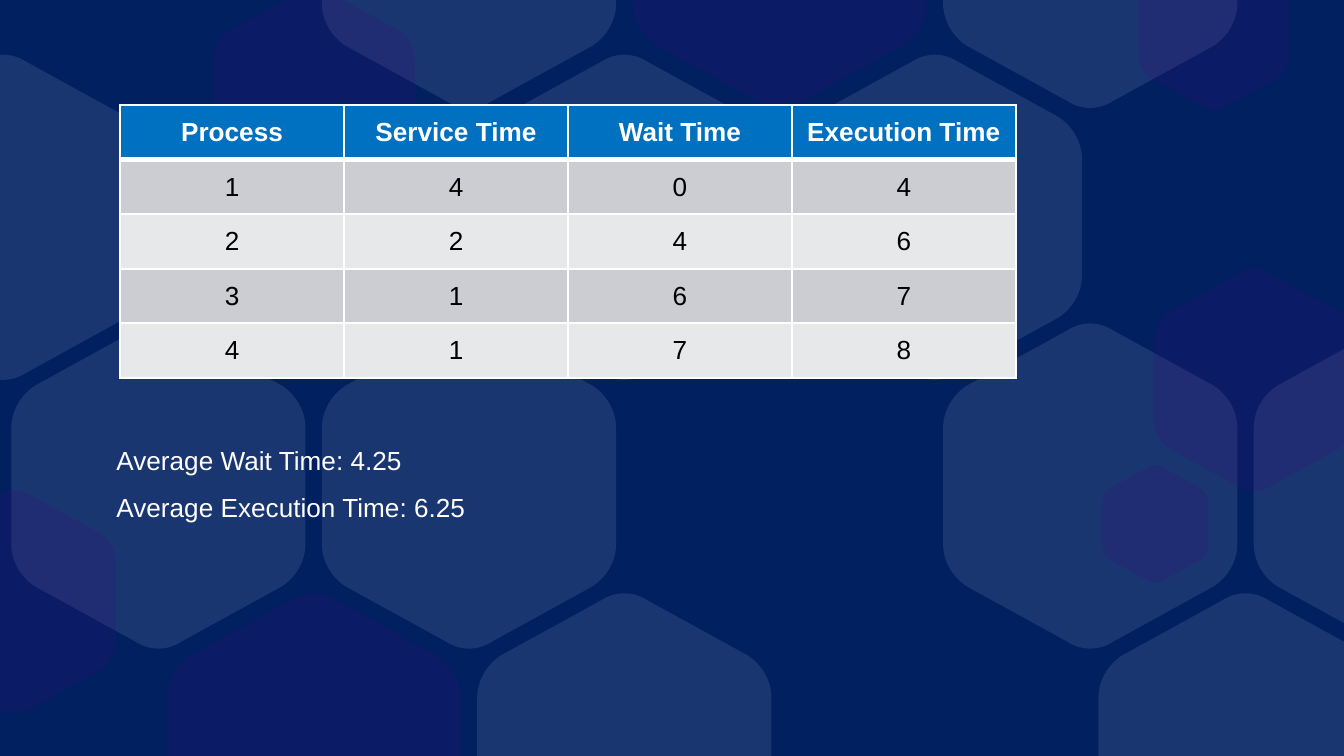
from typing import NamedTuple

from lxml.etree import SubElement
from pptx import Presentation
from pptx.dml.color import RGBColor
from pptx.enum.text import MSO_ANCHOR as Anchor, MSO_AUTO_SIZE as AutoSize, PP_ALIGN as Align
from pptx.oxml.ns import qn
from pptx.util import Cm, Pt

FONT = "Arial"
NAVY, BLUE, PURPLE = "002060", "0070C0", "4F0089"
WHITE, BLACK = "FFFFFF", "000000"
BANDS = ("CCCDD2", "E7E8EA")
SLIDE_WIDTH, SLIDE_HEIGHT = 25.4, 14.29

COMB_LEFT, COMB_PITCH, COMB_WIDTH = -2.72, 5.87, 5.56
COMB_ROWS = {-4.09: (5, 7, 3), 11.23: (2, 4, 8), 6.13: (1, 3, 7, 9), 1.05: (0, 4, 6)}
PURPLE_CELLS = {(-4.09, 5), (11.23, 2)}
HEXAGON_RATIO = 1.1
SIDE_CORNER = ((1, 0.32), (1, 0.27), (0.97, 0.22), (0.92, 0.19))
PEAK_CORNER = ((0.58, 0.02), (0.53, -0.01), (0.47, -0.01), (0.42, 0.02))
LEFT_CORNER = tuple((1 - x, y) for x, y in reversed(SIDE_CORNER))
UPPER_CORNERS = (SIDE_CORNER, PEAK_CORNER, LEFT_CORNER)
LOWER_CORNERS = tuple(tuple((1 - x, 1 - y) for x, y in corner) for corner in UPPER_CORNERS)

HEADERS = ("Process", "Service Time", "Wait Time", "Execution Time")
PROCESSES = ((1, 4, 0, 4), (2, 2, 4, 6), (3, 1, 6, 7), (4, 1, 7, 8))
AVERAGES = ("Average Wait Time: 4.25", "Average Execution Time: 6.25")


class Hexagon(NamedTuple):
    left: float
    top: float
    width: float
    color: str = PURPLE
    opacity: int = 15
    clipped: bool = False


LOOSE_HEXAGONS = (
    Hexagon(21.8, 5.09, 3.81),
    Hexagon(4.03, -0.22, 3.81),
    Hexagon(-1.62, 9.28, 3.81),
    Hexagon(3.21, 3.66, 2.01),
    Hexagon(20.83, 8.8, 2.01),
    Hexagon(21.52, -1.05, 2.84, clipped=True),
)


def rgb(color: str) -> RGBColor:
    return RGBColor.from_string(color)


def outline(hexagon: Hexagon) -> list:
    height = hexagon.width * HEXAGON_RATIO
    if not hexagon.clipped:
        corners = UPPER_CORNERS + LOWER_CORNERS
        start, end = corners[0][0], None
    elif hexagon.top < 0:
        corners, edge = LOWER_CORNERS, -hexagon.top / height
        start, end = (0, edge), (1, edge)
    else:
        corners, edge = UPPER_CORNERS, (SLIDE_HEIGHT - hexagon.top) / height
        start, end = (1, edge), (0, edge)
    steps = [("moveTo", [start])]
    for corner in corners:
        if corner[0] != start:
            steps.append(("lnTo", [corner[0]]))
        steps.append(("cubicBezTo", corner[1:]))
    if end:
        steps.append(("lnTo", [end]))
    return steps


def draw_hexagon(page, hexagon: Hexagon) -> None:
    height = hexagon.width * HEXAGON_RATIO
    left, right = Cm(hexagon.left), Cm(hexagon.left + hexagon.width)
    top, bottom = hexagon.top, hexagon.top + height
    if hexagon.clipped:
        top, bottom = max(top, 0), min(bottom, SLIDE_HEIGHT)
    builder = page.shapes.build_freeform(left, Cm(top))
    builder.add_line_segments([(right, Cm(top)), (right, Cm(bottom)), (left, Cm(bottom))])
    shape = builder.convert_to_shape()
    curves = next(shape._element.iter(qn("a:path")))
    for child in list(curves):
        curves.remove(child)
    for name, points in outline(hexagon):
        step = SubElement(curves, qn(f"a:{name}"))
        for x, y in points:
            across, down = Cm(x * hexagon.width), Cm(hexagon.top + y * height - top)
            SubElement(step, qn("a:pt"), x=str(int(across)), y=str(int(down)))
    SubElement(curves, qn("a:close"))
    shape.shadow.inherit = False
    shape.line.fill.background()
    shape.fill.solid()
    shape.fill.fore_color.rgb = rgb(hexagon.color)
    color = shape.fill._xPr.find(qn("a:solidFill"))[0]
    SubElement(color, qn("a:alpha"), val=str(hexagon.opacity * 1000))


def draw_honeycomb(page) -> None:
    for top, columns in COMB_ROWS.items():
        clipped = top < 0 or top + COMB_WIDTH * HEXAGON_RATIO > SLIDE_HEIGHT
        for column in columns:
            color, opacity = (PURPLE, 15) if (top, column) in PURPLE_CELLS else (WHITE, 10)
            left = COMB_LEFT + column * COMB_PITCH / 2
            draw_hexagon(page, Hexagon(left, top, COMB_WIDTH, color, opacity, clipped))


def format_paragraph(para, color: str, bold: bool = False) -> None:
    for span in para.runs:
        span.font.name = FONT
        span.font.size = Pt(14)
        span.font.bold = bold
        span.font.color.rgb = rgb(color)


def draw_borders(cell, row: int) -> None:
    properties = cell._tc.get_or_add_tcPr()
    thick_side = {0: "lnB", 1: "lnT"}.get(row)
    for side in ("lnL", "lnR", "lnT", "lnB"):
        width = Pt(3 if side == thick_side else 1)
        line = SubElement(properties, qn(f"a:{side}"), w=str(width))
        SubElement(SubElement(line, qn("a:solidFill")), qn("a:srgbClr"), val=WHITE)


def draw_table(page) -> None:
    rows = (HEADERS, *PROCESSES)
    frame = page.shapes.add_table(
        len(rows), len(HEADERS), Cm(2.27), Cm(1.99), Cm(16.93), Cm(5.15)
    )
    table = frame.table
    table.horz_banding = False
    for row, values in enumerate(rows):
        header = row == 0
        for column, value in enumerate(values):
            cell = table.cell(row, column)
            draw_borders(cell, row)
            cell.fill.solid()
            cell.fill.fore_color.rgb = rgb(BLUE if header else BANDS[(row - 1) % 2])
            cell.vertical_anchor = Anchor.MIDDLE
            cell.text_frame.text = str(value)
            para = cell.text_frame.paragraphs[0]
            para.alignment = Align.CENTER
            format_paragraph(para, WHITE if header else BLACK, header)


def draw_averages(page) -> None:
    box = page.shapes.add_textbox(Cm(1.95), Cm(7.97), Cm(16), Cm(1.93))
    box.text_frame.word_wrap = True
    box.text_frame.auto_size = AutoSize.SHAPE_TO_FIT_TEXT
    box.text_frame.text = "\n".join(AVERAGES)
    for para in box.text_frame.paragraphs:
        para.line_spacing = 1.5
        format_paragraph(para, WHITE)


def main() -> None:
    deck = Presentation()
    deck.slide_width, deck.slide_height = Cm(SLIDE_WIDTH), Cm(SLIDE_HEIGHT)
    page = deck.slides.add_slide(deck.slide_layouts[6])
    page.background.fill.solid()
    page.background.fill.fore_color.rgb = rgb(NAVY)
    draw_honeycomb(page)
    for hexagon in LOOSE_HEXAGONS:
        draw_hexagon(page, hexagon)
    draw_table(page)
    draw_averages(page)
    deck.save("out.pptx")


if __name__ == "__main__":
    main()
